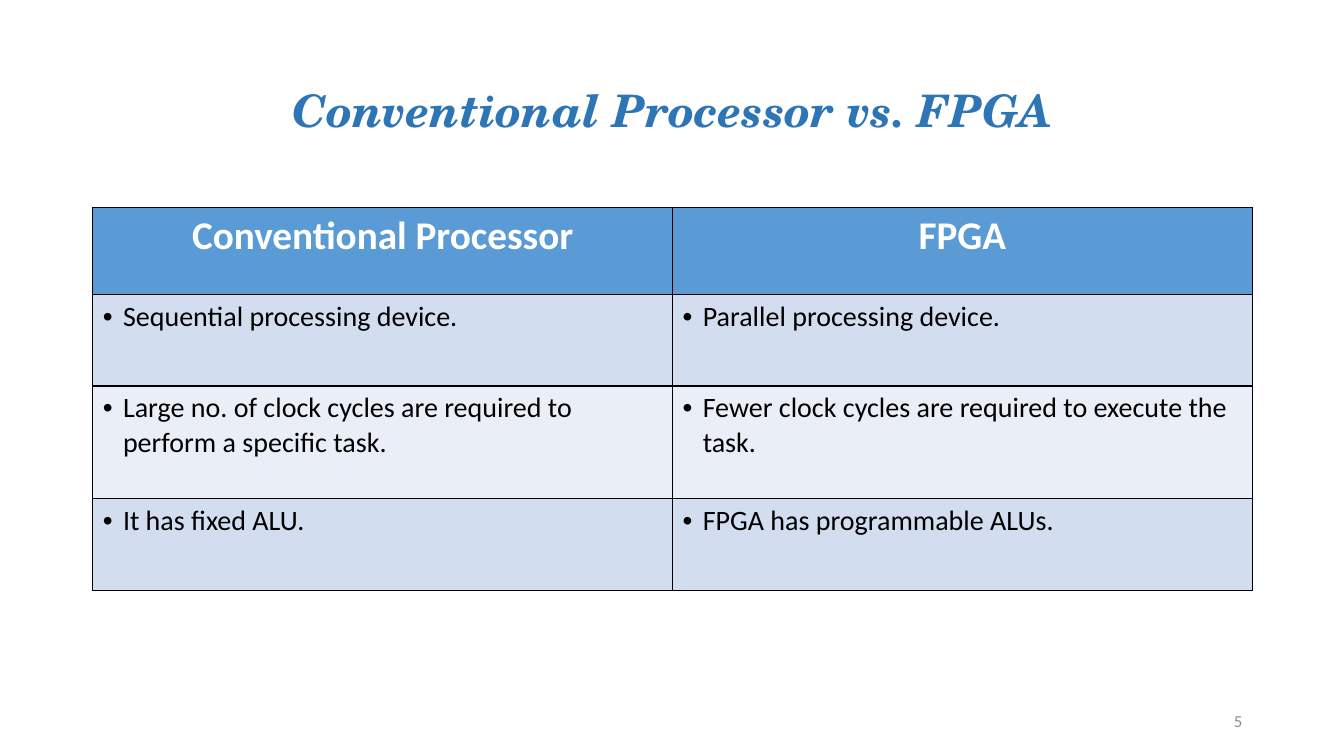
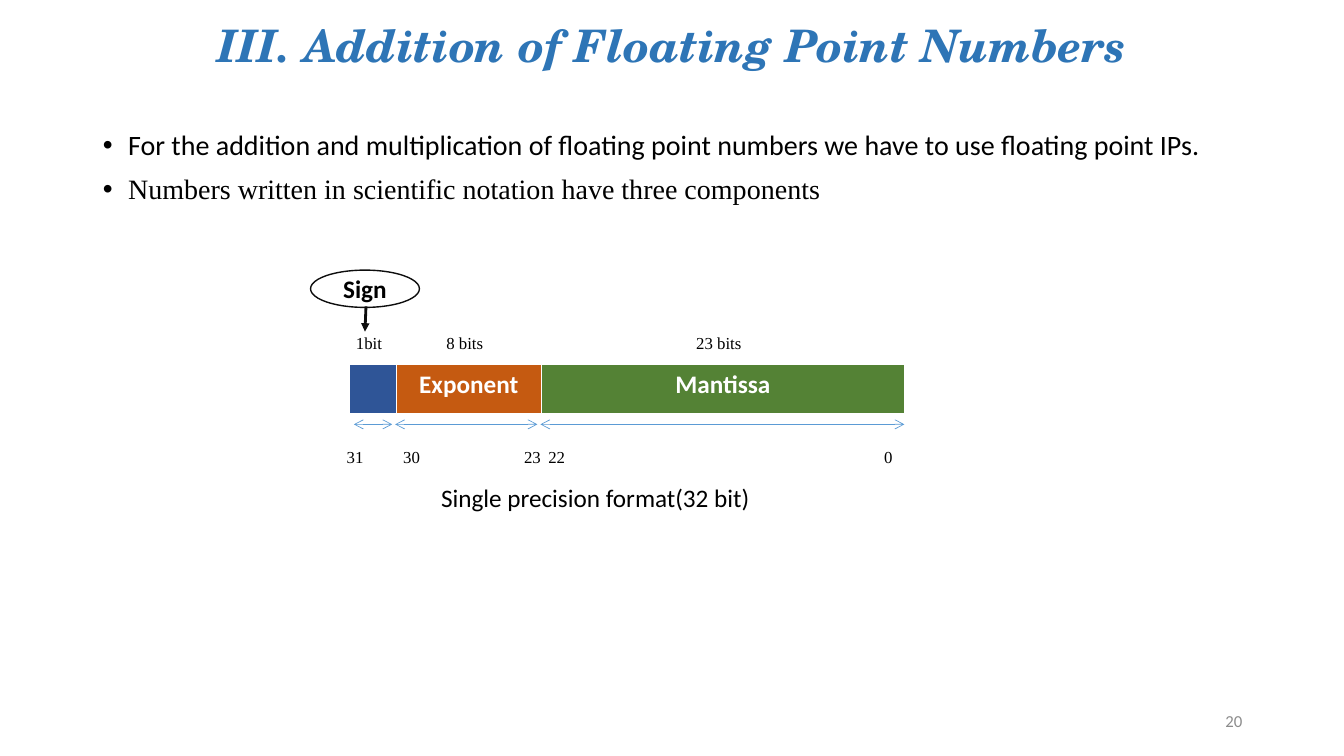
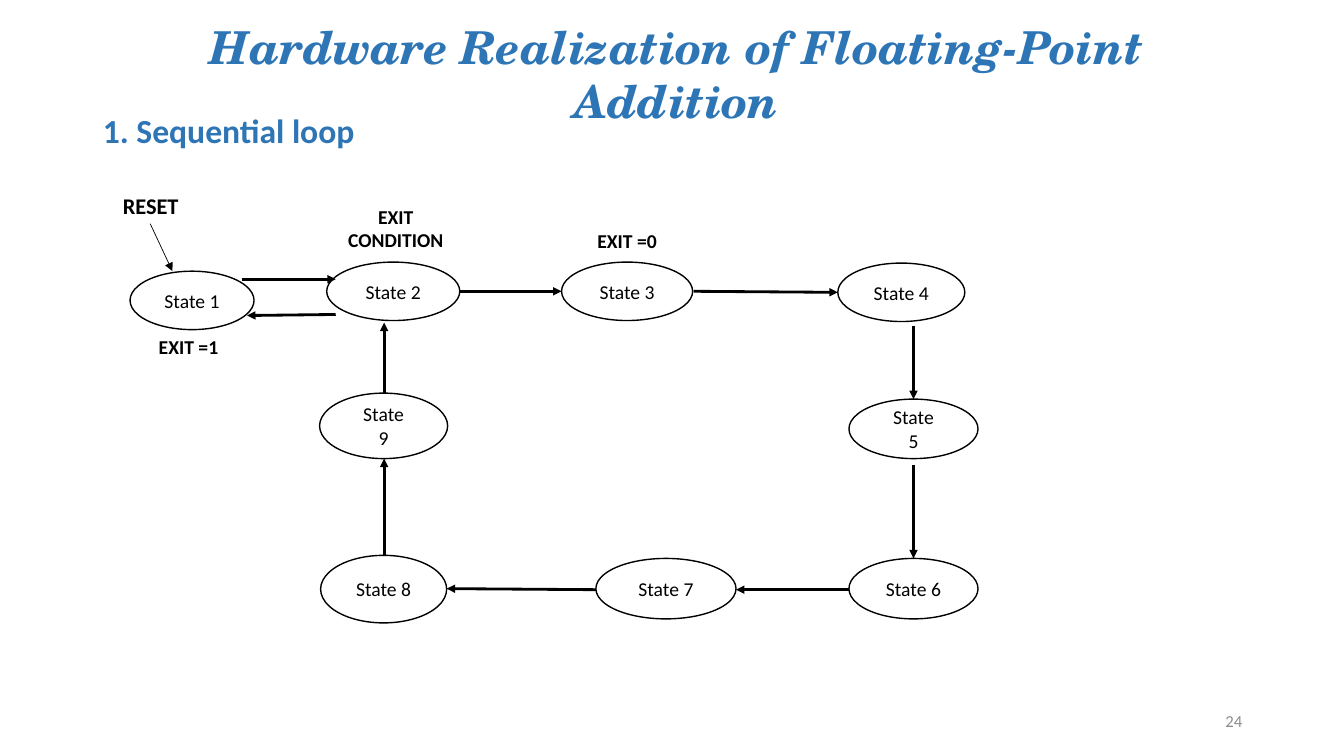
"""Build three slides on FPGA floating-point addition."""
from pptx import Presentation
from pptx.dml.color import RGBColor
from pptx.enum.shapes import MSO_CONNECTOR, MSO_SHAPE
from pptx.enum.text import MSO_ANCHOR as ANCHOR, MSO_AUTO_SIZE, PP_ALIGN as ALIGN
from pptx.oxml.ns import qn
from pptx.util import Inches, Pt
from lxml.etree import SubElement

COLORS = {
    "title": "2E75B6", "black": "000000", "ink": "0D0D0D", "white": "FFFFFF",
    "number": "8C8C8C", "accent": "5B9BD5", "band": "D2DEEF", "pale": "EAEFF7",
    "sign": "2F5597", "exponent": "C55A11", "mantissa": "548235",
}
SANS, SERIF, TITLE_FONT = "Calibri", "Times New Roman", "TeX Gyre Schola"
TITLE_ONLY, TITLE_AND_BODY = 5, 1


def rgb(name):
    """Return the named colour."""
    return RGBColor.from_string(COLORS[name])


def place(target, box):
    """Move a shape to a box of left, top, width and height."""
    target.left, target.top, target.width, target.height = map(Inches, box)


def write(paragraph, text, size, color="black", font=SANS, bold=False, italic=False,
          align=ALIGN.LEFT, spacing=None):
    """Add one formatted run to a paragraph."""
    paragraph.alignment = align
    if spacing:
        paragraph.line_spacing = spacing
    run = paragraph.add_run()
    run.text = text
    run.font.size, run.font.name = Pt(size), font
    run.font.bold, run.font.italic = bold, italic
    run.font.color.rgb = rgb(color)


def write_lines(frame, text, size, **style):
    """Write each line of the text as a paragraph."""
    for index, line in enumerate(text.split("\n")):
        paragraph = frame.add_paragraph() if index else frame.paragraphs[0]
        write(paragraph, line, size, **style)


def set_bullet(paragraph, indent):
    """Give a paragraph a hanging round bullet, or none when indent is zero."""
    props = paragraph._p.get_or_add_pPr()
    props.set("marL", str(Inches(indent)))
    props.set("indent", str(-Inches(indent)))
    if indent:
        SubElement(props, qn("a:buFont"), typeface="Arial")
        SubElement(props, qn("a:buChar"), char="•")
    else:
        SubElement(props, qn("a:buNone"))


def set_tab(paragraph, position):
    """Set one left tab stop."""
    stops = SubElement(paragraph._p.get_or_add_pPr(), qn("a:tabLst"))
    SubElement(stops, qn("a:tab"), pos=str(Inches(position)), algn="l")


def add_label(slide, box, text, size, inset=0.1, tab=None, anchor=ANCHOR.TOP, **style):
    """Add a wrapping text box."""
    label = slide.shapes.add_textbox(*map(Inches, box))
    frame = label.text_frame
    frame.word_wrap, frame.vertical_anchor = True, anchor
    frame.margin_left = frame.margin_right = Inches(inset)
    if tab:
        set_tab(frame.paragraphs[0], tab)
    write_lines(frame, text, size, **style)


def add_titled_slide(deck, layout, title, number, box, size=32, spacing=0.9,
                     anchor=ANCHOR.MIDDLE):
    """Add a slide with the shared title style and page number."""
    slide = deck.slides.add_slide(deck.slide_layouts[layout])
    heading = slide.shapes.title
    place(heading, box)
    frame = heading.text_frame
    frame.word_wrap, frame.auto_size = True, MSO_AUTO_SIZE.NONE
    frame.vertical_anchor = anchor
    write(frame.paragraphs[0], title, size, "title", TITLE_FONT, True, True,
          ALIGN.CENTER, spacing)
    add_label(slide, (9.42, 6.95, 3, 0.4), number, 12, color="number",
              align=ALIGN.RIGHT, anchor=ANCHOR.MIDDLE)
    return slide


def open_body(slide, box):
    """Place the body placeholder and return its text frame."""
    body = slide.placeholders[1]
    place(body, box)
    body.text_frame.auto_size = MSO_AUTO_SIZE.NONE
    return body.text_frame


def set_borders(cell, color, widths):
    """Draw the left, right, top and bottom borders of a cell."""
    props = cell._tc.get_or_add_tcPr()
    for index, (side, width) in enumerate(zip(("lnL", "lnR", "lnT", "lnB"), widths)):
        border = props.makeelement(qn(f"a:{side}"), {"w": str(Pt(width))})
        fill = SubElement(border, qn("a:solidFill"))
        SubElement(fill, qn("a:srgbClr"), val=COLORS[color])
        props.insert(index, border)


def add_grid(slide, left, top, widths, heights):
    """Add a plain table with the given column widths and row heights."""
    box = map(Inches, (left, top, sum(widths), sum(heights)))
    table = slide.shapes.add_table(len(heights), len(widths), *box).table
    table.first_row = table.horz_banding = False
    for column, width in zip(table.columns, widths):
        column.width = Inches(width)
    for row, height in zip(table.rows, heights):
        row.height = Inches(height)
    return table


def paint_cell(cell, fill, border, widths):
    """Fill and frame a table cell."""
    cell.fill.solid()
    cell.fill.fore_color.rgb = rgb(fill)
    set_borders(cell, border, widths)


def add_ellipse(slide, box, text, size, line="black", bold=False):
    """Add a white outlined ellipse with centred text."""
    oval = slide.shapes.add_shape(MSO_SHAPE.OVAL, *map(Inches, box))
    oval.shadow.inherit = False
    oval.fill.solid()
    oval.fill.fore_color.rgb = rgb("white")
    oval.line.color.rgb, oval.line.width = rgb(line), Pt(1)
    oval.text_frame.vertical_anchor = ANCHOR.MIDDLE
    write_lines(oval.text_frame, text, size, bold=bold, align=ALIGN.CENTER)


def add_arrow(slide, start, end, color="black", width=2, tail="triangle", head=None):
    """Add a straight arrow."""
    arrow = slide.shapes.add_connector(MSO_CONNECTOR.STRAIGHT, *map(Inches, start + end))
    arrow.line.color.rgb, arrow.line.width = rgb(color), Pt(width)
    props = arrow._element.spPr
    outline = props.find(qn("a:ln"))
    if head:
        SubElement(outline, qn("a:headEnd"), type=head)
    SubElement(outline, qn("a:tailEnd"), type=tail)
    SubElement(props, qn("a:effectLst"))


def build_comparison(deck):
    """Compare processor and FPGA in a table."""
    slide = add_titled_slide(deck, TITLE_ONLY, "Conventional Processor vs. FPGA", "5",
                             (0.92, 0.4, 11.5, 1.45))
    rows = [
        ("Conventional Processor", "FPGA"),
        ("Sequential processing device.", "Parallel processing device."),
        ("Large no. of clock cycles are required to perform a specific task.",
         "Fewer clock cycles are required to execute the task."),
        ("It has fixed ALU.", "FPGA has programmable ALUs."),
    ]
    table = add_grid(slide, 0.92, 2.06, [5.75] * 2, [0.86, 0.91, 1.12, 0.91])
    for r, row in enumerate(rows):
        fill = "accent" if r == 0 else "band" if r % 2 else "pale"
        for c, text in enumerate(row):
            cell = table.cell(r, c)
            paint_cell(cell, fill, "black", [1] * 4)
            paragraph = cell.text_frame.paragraphs[0]
            if r == 0:
                write(paragraph, text, 28, "white", bold=True, align=ALIGN.CENTER)
            else:
                set_bullet(paragraph, 0.2)
                write(paragraph, text, 20)


def build_number_format(deck):
    """Show the fields of a single precision number."""
    slide = add_titled_slide(deck, TITLE_AND_BODY,
                             "III. Addition of Floating Point Numbers", "20",
                             (0.92, 0, 11.5, 0.96))
    frame = open_body(slide, (0.92, 1.25, 11.72, 1.2))
    points = [
        ("For the addition and multiplication of floating point numbers "
         "we have to use floating point IPs.", SANS),
        ("Numbers written in scientific notation have three components", SERIF),
    ]
    for index, (text, font) in enumerate(points):
        paragraph = frame.add_paragraph() if index else frame.paragraphs[0]
        set_bullet(paragraph, 0.25)
        paragraph.space_before = Pt(10 if index else 0)
        write(paragraph, text, 20, font=font, spacing=0.9)

    fields = [("", "sign", 0.46, "1bit"), ("Exponent", "exponent", 1.44, "8 bits"),
              ("Mantissa", "mantissa", 3.6, "23 bits")]
    left = 3.47
    table = add_grid(slide, left, 3.62, [field[2] for field in fields], [0.5])
    for column, (name, fill, width, bits) in enumerate(fields):
        cell = table.cell(0, column)
        paint_cell(cell, fill, "white", (1, 1, 1, 3))
        if name:
            write(cell.text_frame.paragraphs[0], name, 18, "white", bold=True,
                  align=ALIGN.CENTER)
        add_label(slide, (left - 0.04, 3.25, width, 0.28), bits, 12, inset=0,
                  font=SERIF, align=ALIGN.CENTER)
        left += width

    add_ellipse(slide, (3.08, 2.68, 1.08, 0.37), "Sign", 18, "ink", True)
    add_arrow(slide, (3.63, 3.04), (3.62, 3.29), "ink")
    for start, end in [(3.51, 3.89), (3.92, 5.33), (5.36, 8.97)]:
        add_arrow(slide, (start, 4.21), (end, 4.21), "accent", 0.5, "arrow", "arrow")
    for start, width, text, tab in [(3.34, 0.47, "31", None), (3.9, 1.59, "30\t23", 1.2),
                                    (5.34, 3.69, "22\t0", 3.33)]:
        add_label(slide, (start, 4.38, width, 0.28), text, 12, tab=tab, font=SERIF)
    add_label(slide, (3.08, 4.74, 5.65, 0.4), "Single precision format(32 bit)", 18,
              align=ALIGN.CENTER)


def build_state_loop(deck):
    """Draw the sequential loop of states."""
    slide = add_titled_slide(deck, TITLE_AND_BODY,
                             "Hardware Realization of Floating-Point Addition", "24",
                             (0.96, 0.14, 11.5, 1.05), 32.4, 1.0, ANCHOR.TOP)
    frame = open_body(slide, (0.92, 1.09, 11.5, 0.6))
    set_bullet(frame.paragraphs[0], 0)
    frame.paragraphs[0].space_before = Pt(0)
    write(frame.paragraphs[0], "1. Sequential loop", 24, "title", bold=True, spacing=0.9)

    states = [
        ("State 1", (1.29, 2.69, 1.23, 0.58)), ("State 2", (3.24, 2.6, 1.32, 0.58)),
        ("State 3", (5.57, 2.6, 1.3, 0.58)), ("State 4", (8.31, 2.61, 1.26, 0.58)),
        ("State\n5", (8.42, 3.96, 1.28, 0.59)), ("State 6", (8.42, 5.54, 1.28, 0.6)),
        ("State 7", (5.91, 5.54, 1.39, 0.6)), ("State 8", (3.18, 5.51, 1.25, 0.67)),
        ("State\n9", (3.17, 3.9, 1.27, 0.65)),
    ]
    for name, box in states:
        add_ellipse(slide, box, name, 14)

    transitions = [
        ((2.4, 2.77), (3.33, 2.77)), ((3.33, 3.12), (2.45, 3.13)),
        ((4.56, 2.89), (5.57, 2.89)), ((6.88, 2.89), (8.31, 2.9)),
        ((9.06, 3.23), (9.06, 3.96)), ((9.06, 4.61), (9.06, 5.54)),
        ((8.42, 5.85), (7.3, 5.85)), ((5.91, 5.85), (4.43, 5.84)),
        ((3.81, 5.51), (3.81, 4.55)), ((3.81, 3.9), (3.81, 3.2)),
    ]
    for start, end in transitions:
        add_arrow(slide, start, end)
    add_arrow(slide, (1.49, 2.22), (1.71, 2.69), width=0.5)

    add_label(slide, (1.12, 1.86, 0.96, 0.37), "RESET", 16, bold=True)
    for text, box in [("EXIT =0", (5.74, 2.22, 0.96, 0.34)),
                      ("EXIT CONDITION", (3.25, 1.98, 1.35, 0.57)),
                      ("EXIT =1", (1.39, 3.27, 0.96, 0.34))]:
        add_label(slide, box, text, 14, bold=True, align=ALIGN.CENTER)


def main():
    """Build and save the deck."""
    deck = Presentation()
    deck.slide_width, deck.slide_height = Inches(13.33), Inches(7.5)
    build_comparison(deck)
    build_number_format(deck)
    build_state_loop(deck)
    deck.save("out.pptx")


if __name__ == "__main__":
    main()
